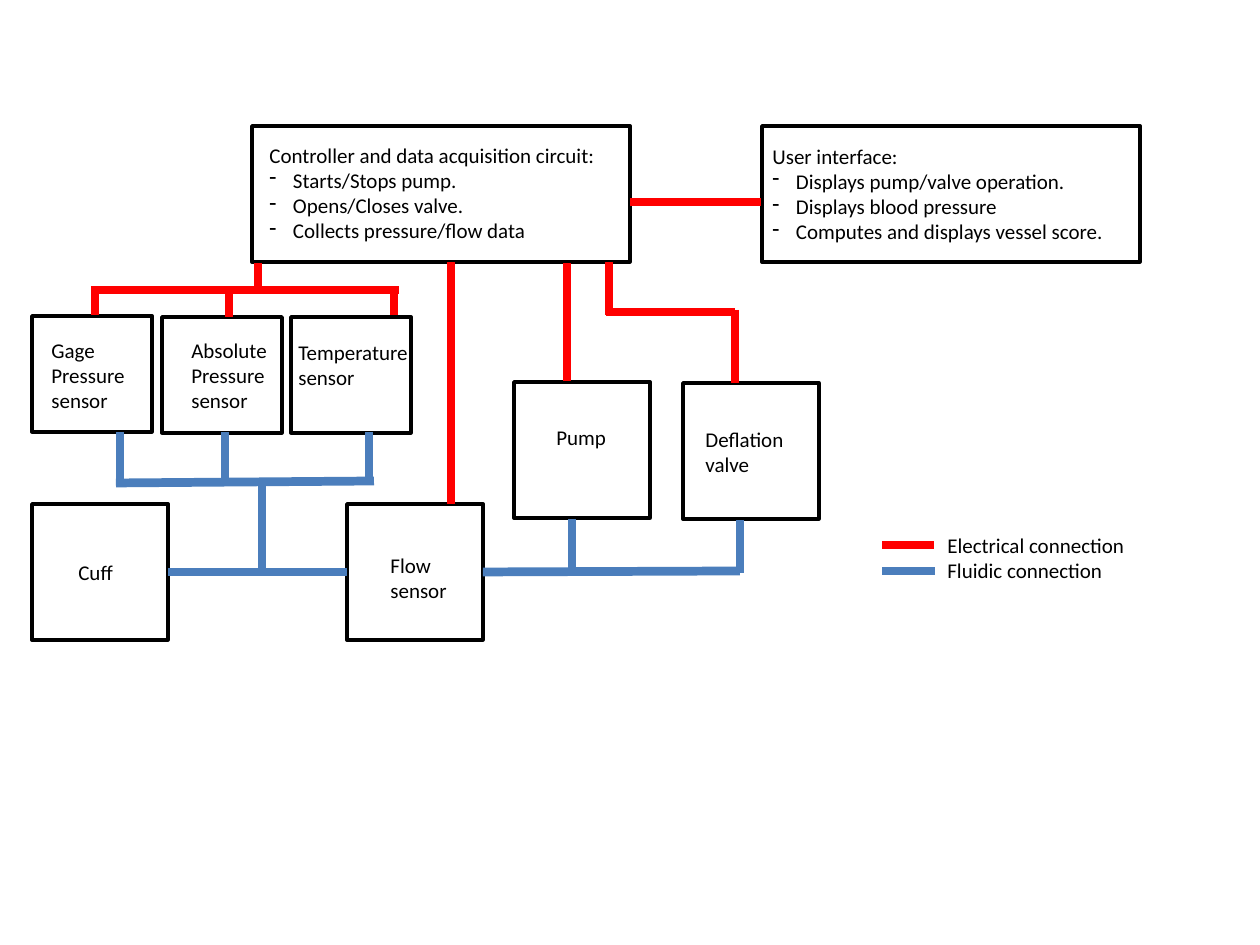
import pptx
import pptx.util
import pptx.dml.color
import pptx.enum.shapes
import pptx.enum.text
import lxml.etree

SCALE = 914400 / 126
RED, BLUE, BLACK = "FF0000", "4B7EBC", "000000"
NS = "{http://schemas.openxmlformats.org/drawingml/2006/main}"


def emu(*pixels):
    """Turn pixel lengths into EMU."""
    return [round(p * SCALE) for p in pixels]


def paint(target, color):
    """Set a colour from a hex string."""
    target.rgb = pptx.dml.color.RGBColor.from_string(color)


deck = pptx.Presentation()
deck.slide_width, deck.slide_height = emu(1260, 945)
slide = deck.slides.add_slide(deck.slide_layouts[6])
shapes = slide.shapes

# Boxes: left, top, width, height
wide, square, small = (378, 136), (136, 136), (120, 116)
boxes = [
    (252, 126, *wide), (762, 126, *wide),
    (32, 504, *square), (347, 504, *square),
    (514, 382, *square), (683, 383, *square),
    (32, 316, *small), (162, 317, *small), (291, 317, *small),
]
for place in boxes:
    box = shapes.add_shape(pptx.enum.shapes.MSO_SHAPE.RECTANGLE, *emu(*place))
    box.shadow.inherit = False
    box.fill.background()
    box.line.width = pptx.util.Pt(2)
    paint(box.line.color, BLACK)

# Connections: from x, from y, to x, to y
wires = {
    RED: [
        (630, 202, 761, 202),
        (451, 262, 451, 504),
        (567, 263, 567, 381),
        (609, 262, 609, 315), (606, 312, 735, 312), (735, 310, 735, 383),
        (258, 263, 258, 289), (91, 290, 399, 290),
        (95, 290, 95, 315), (229, 292, 229, 317), (394, 290, 394, 315),
        (882, 545, 934, 545),
    ],
    BLUE: [
        (168, 572, 347, 572), (483, 572, 740, 571),
        (572, 519, 572, 572), (740, 520, 740, 573),
        (262, 483, 262, 570), (116, 483, 374, 481),
        (120, 432, 120, 485), (225, 432, 225, 485), (369, 432, 369, 485),
        (882, 571, 935, 571),
    ],
}
for color, routes in wires.items():
    for route in routes:
        wire = shapes.add_connector(
            pptx.enum.shapes.MSO_CONNECTOR.STRAIGHT, *emu(*route))
        wire.line.width = pptx.util.Pt(5)
        paint(wire.line.color, color)
        lxml.etree.SubElement(wire._element.spPr, NS + "effectLst")

# Labels: place, wrap, lines; a leading dash marks a bullet
labels = [
    ((257, 136, 368, 115), True, [
        "Controller and data acquisition circuit:", "-Starts/Stops pump.",
        "-Opens/Closes valve.", "-Collects pressure/flow data"]),
    ((760, 137, 368, 115), True, [
        "User interface:", "-Displays pump/valve operation.",
        "-Displays blood pressure ", "-Computes and displays vessel score."]),
    ((66, 553, 60, 38), False, ["Cuff"]),
    ((378, 546, 82, 63), False, ["Flow ", "sensor"]),
    ((544, 418, 76, 38), False, ["Pump"]),
    ((693, 420, 110, 63), False, ["Deflation ", "valve"]),
    ((935, 526, 208, 63), True,
     ["Electrical connection", "Fluidic connection"]),
    ((39, 331, 105, 89), False, ["Gage ", "Pressure ", "sensor"]),
    ((179, 331, 107, 89), False, ["Absolute ", "Pressure ", "sensor"]),
    ((286, 333, 136, 63), False, ["Temperature", "sensor"]),
]
style = {"name": "Calibri", "size": pptx.util.Pt(12)}
for place, wrap, lines in labels:
    frame = shapes.add_textbox(*emu(*place)).text_frame
    frame.word_wrap = wrap
    frame.auto_size = pptx.enum.text.MSO_AUTO_SIZE.SHAPE_TO_FIT_TEXT
    for i, line in enumerate(lines):
        para = frame.add_paragraph() if i else frame.paragraphs[0]
        run = para.add_run()
        run.text = line.removeprefix("-")
        for key, value in style.items():
            setattr(run.font, key, value)
        paint(run.font.color, BLACK)
        if line.startswith("-"):
            props = para._p.get_or_add_pPr()
            props.set("marL", "171450")
            props.set("indent", "-171450")
            lxml.etree.SubElement(props, NS + "buFontTx")
            lxml.etree.SubElement(props, NS + "buChar", char="-")

deck.save("out.pptx")
